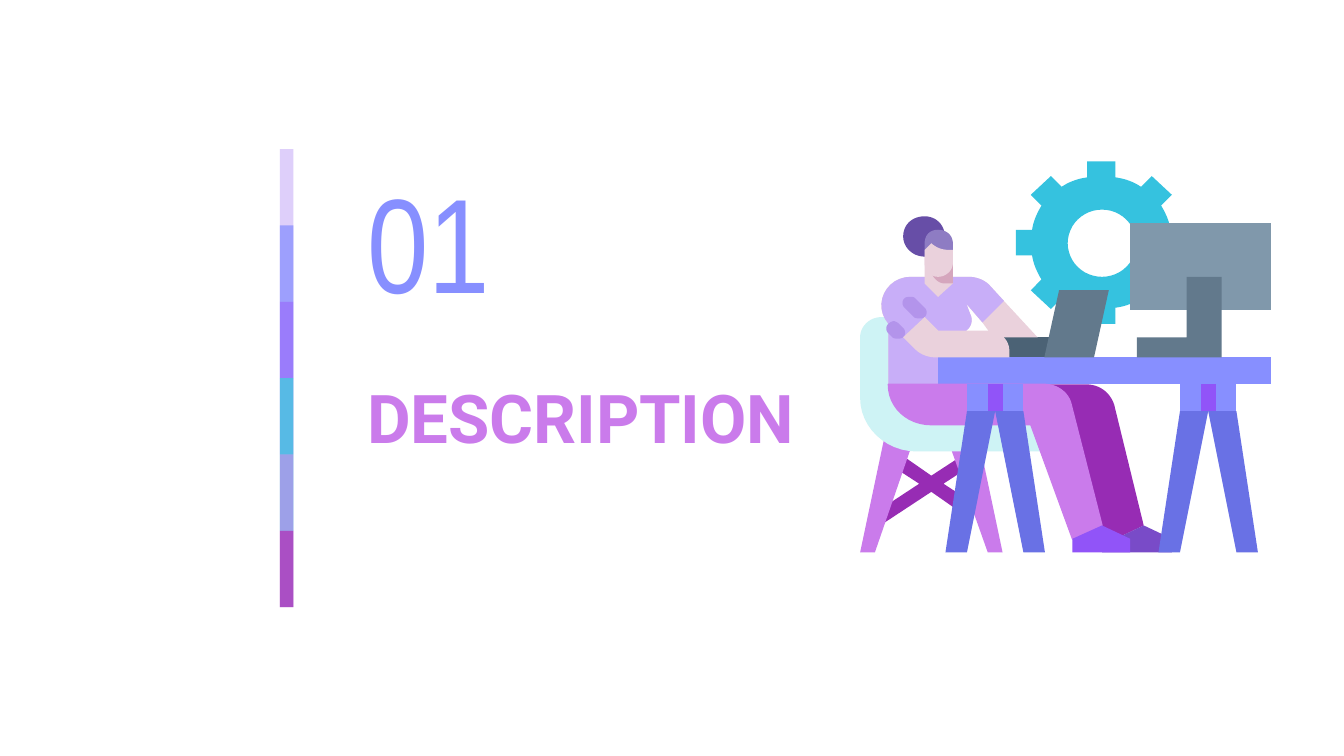
from math import cos, pi, sin

from lxml.etree import SubElement
from pptx import Presentation
from pptx.dml.color import RGBColor
from pptx.enum.shapes import MSO_SHAPE
from pptx.enum.text import MSO_ANCHOR, MSO_AUTO_SIZE, PP_ALIGN
from pptx.oxml.ns import qn
from pptx.util import Pt

LILAC = RGBColor(0xC8, 0xAE, 0xF8)
PERIWINKLE = RGBColor(0x87, 0x8F, 0xFF)
VIOLET = RGBColor(0x91, 0x54, 0xF8)
CYAN = RGBColor(0x35, 0xC2, 0xDF)
ORCHID = RGBColor(0xCA, 0x7B, 0xEB)
PLUM = RGBColor(0x97, 0x2C, 0xB4)
MINT = RGBColor(0xCE, 0xF3, 0xF5)
INDIGO = RGBColor(0x69, 0x71, 0xE5)
SHOE = RGBColor(0x79, 0x4B, 0xC8)
SLEEVE = RGBColor(0xB3, 0x94, 0xEB)
SKIN = RGBColor(0xEA, 0xD1, 0xDC)
SKIN_SHADE = RGBColor(0xD5, 0xA6, 0xBD)
HAIR = RGBColor(0x67, 0x4E, 0xA7)
FRINGE = RGBColor(0x8E, 0x7C, 0xC3)
DARK_SLATE = RGBColor(0x4B, 0x62, 0x75)
SLATE = RGBColor(0x62, 0x79, 0x8C)
LIGHT_SLATE = RGBColor(0x80, 0x98, 0xAB)

GRID = 0.72  # points per unit of the illustration
CURVE_STEPS = 12

deck = Presentation()
deck.slide_width, deck.slide_height = Pt(720), Pt(405)
page = deck.slides.add_slide(deck.slide_layouts[0])


def flatten(outline):
    """Turn (x, y) corners and six-number cubic curves into plain points."""
    points = []
    for step in outline:
        if len(step) == 2:
            points.append(step)
            continue
        x0, y0 = points[-1]
        x1, y1, x2, y2, x3, y3 = step
        for i in range(1, CURVE_STEPS + 1):
            t = i / CURVE_STEPS
            a, b, c, d = (1 - t) ** 3, 3 * t * (1 - t) ** 2, 3 * t * t * (1 - t), t ** 3
            points.append((a * x0 + b * x1 + c * x2 + d * x3,
                           a * y0 + b * y1 + c * y2 + d * y3))
    return points


def draw(color, *outlines):
    """Draw closed outlines as one filled freeform."""
    builder = None
    for outline in outlines:
        points = [(Pt(x * GRID), Pt(y * GRID)) for x, y in flatten(outline)]
        if builder is None:
            builder = page.shapes.build_freeform(*points[0])
        else:
            builder.move_to(*points[0])
        builder.add_line_segments(points[1:], close=True)
    shape = builder.convert_to_shape()
    shape.shadow.inherit = False
    shape.fill.solid()
    shape.fill.fore_color.rgb = color
    shape.line.fill.background()
    return shape


# Section number and title
number, title = page.placeholders[1], page.shapes.title
for box, text, place, anchor, font, size, bold, color in (
    (number, "01", (189.4, 79.9, 89.3, 97.2), MSO_ANCHOR.MIDDLE, "Arial Narrow", 72, False, PERIWINKLE),
    (title, "DESCRIPTION", (189.4, 194.4, 310.3, 72.7), MSO_ANCHOR.TOP, "Roboto", 36, True, ORCHID),
):
    box.left, box.top, box.width, box.height = [Pt(length) for length in place]
    frame = box.text_frame
    frame.text = text
    frame.word_wrap = True
    frame.auto_size = MSO_AUTO_SIZE.NONE
    frame.vertical_anchor = anchor
    frame.margin_left = frame.margin_right = Pt(7.2)
    frame.margin_top = frame.margin_bottom = Pt(7.2)
    para = frame.paragraphs[0]
    para.alignment = PP_ALIGN.LEFT
    para.space_before = Pt(0)
    span = para.runs[0]
    span.font.name, span.font.size, span.font.bold = font, Pt(size), bold
    span.font.color.rgb = color

# Gear: one quarter of the rim, mirrored down and across, with a round hole
quarter = flatten([(830, 120), (830, 132), (837, 133, 843, 135, 849, 139), (857, 131), (872, 145),
                   (864, 153), (867, 158, 870, 164, 871, 171), (883, 171)])
half = quarter + [(x, 361 - y) for x, y in reversed(quarter)]
rim = half + [(1639 - x, y) for x, y in reversed(half)]
hole = [(820 + 25.5 * cos(pi * i / 24), 181 - 25 * sin(pi * i / 24)) for i in range(48)]
draw(CYAN, rim, hole)

# Laptop base
draw(DARK_SLATE, [(746, 251), (746, 266), (783, 266), (783, 251)])

# Chair
draw(PLUM, [(670, 338), (664, 347), (684, 360), (649, 383), (655, 391), (693, 366), (713, 380),
            (719, 371), (702, 360), (722, 347), (716, 339), (693, 354)])
draw(ORCHID, [(703, 321), (735, 411), (746, 411), (727, 321)])
draw(ORCHID, [(659, 321), (640, 411), (651, 411), (682, 321)])
draw(MINT, [(656, 236), (647, 236, 640, 243, 640, 251), (640, 296), (640, 318, 659, 336, 682, 336),
            (783, 336), (783, 311), (693, 311), (678, 311, 667, 300, 667, 286), (667, 236)])

# Far leg and shoe
draw(PLUM, [(693, 286), (693, 303, 707, 316, 725, 316), (798, 316), (820, 401), (830, 401),
            (851, 391), (829, 301), (826, 292, 818, 286, 808, 286)])
draw(SHOE, [(851, 391), (830, 401), (820, 401), (820, 411), (872, 411), (872, 401)])

# Far arm under the shirt
torso = [(678, 206), (659, 206, 649, 227, 661, 241), (661, 286), (719, 286), (719, 246),
         (723, 243, 724, 238, 722, 234), (719, 226), (731, 240)]
shoulder = [(747, 224), (736, 212), (732, 208, 726, 206, 720, 206)]
draw(SKIN, torso + [(739, 251), (772, 251)] + shoulder)
draw(LILAC, torso + shoulder)

# Table top
draw(PERIWINKLE, [(698, 266), (698, 286), (946, 286), (946, 266)])

# Sleeve folds
draw(SLEEVE, [(665, 239), (664, 239, 662, 240, 661, 241), (659, 243, 659, 246, 661, 248), (664, 251),
              (665, 252, 667, 252, 668, 252), (669, 252, 671, 252, 672, 251),
              (674, 249, 674, 246, 672, 244), (669, 241), (668, 240, 666, 239, 665, 239)])
draw(SLEEVE, [(677, 221), (676, 221, 674, 221, 673, 222), (671, 224, 671, 227, 673, 229), (680, 236),
              (681, 237, 683, 237, 684, 237), (685, 237, 687, 237, 688, 236),
              (690, 234, 690, 231, 688, 229), (681, 222), (680, 221, 679, 221, 677, 221)])

# Neck and near arm
draw(SKIN, [(688, 191), (688, 211), (698, 221), (709, 211), (709, 191)])
draw(SKIN, [(688, 236), (672, 251), (681, 260), (685, 264, 691, 266, 696, 266), (751, 266),
            (751, 261), (751, 253, 744, 246, 735, 246), (698, 246)])

# Laptop screen
draw(SLATE, [(788, 216), (777, 266), (814, 266), (825, 216)])

# Near leg and shoe
leg = draw(ORCHID, [(661, 286), (661, 303, 675, 316, 693, 316), (767, 316), (798, 401),
                    (820, 391), (797, 301), (795, 292, 786, 286, 777, 286)])
leg.line.color.rgb = ORCHID
leg.line.width = Pt(0.75)
draw(VIOLET, [(820, 391), (798, 401), (798, 411), (841, 411), (841, 401)])

# Monitor and stand
draw(LIGHT_SLATE, [(841, 166), (841, 231), (946, 231), (946, 166)])
draw(SLATE, [(883, 206), (883, 251), (846, 251), (846, 266), (909, 266), (909, 206)])

# Table trestles
for center in (899, 740.5):
    for color, reach in ((PERIWINKLE, 21), (VIOLET, 5.5)):
        draw(color, [(center - reach, 286), (center - reach, 306),
                     (center + reach, 306), (center + reach, 286)])
    for side in (-1, 1):
        draw(INDIGO, [(center, 306), (center + side * 21, 411),
                      (center + side * 37, 411), (center + side * 21, 306)])

# Head
draw(SKIN_SHADE, [(693, 191), (693, 201), (693, 206, 698, 211, 703, 211), (709, 211), (709, 191)])
draw(HAIR, [(688, 161), (679, 161, 672, 167, 672, 176), (672, 184, 679, 191, 688, 191),
            (696, 191, 703, 184, 703, 176), (703, 167, 696, 161, 688, 161)])
draw(FRINGE, [(698, 171), (692, 171, 688, 175, 688, 181), (688, 191), (709, 191), (709, 181),
              (709, 175, 704, 171, 698, 171)])
draw(SKIN, [(693, 181), (688, 186), (688, 196), (688, 201, 692, 206, 698, 206),
            (704, 206, 709, 201, 709, 196), (709, 186), (706, 186), (701, 186, 696, 184, 693, 181)])

# Colour strip: translucent bars, each reaching under the next
STEP = 40.9
bars = ((LILAC, 59), (PERIWINKLE, 74), (VIOLET, 53), (CYAN, 76), (ORCHID, 56), (PLUM, 74))
for i, (color, opacity) in enumerate(bars):
    height = STEP if i == len(bars) - 1 else 2 * STEP
    bar = page.shapes.add_shape(MSO_SHAPE.RECTANGLE, Pt(150), Pt(79.9 + i * STEP), Pt(7.2), Pt(height))
    bar.shadow.inherit = False
    bar.line.fill.background()
    bar.fill.solid()
    bar.fill.fore_color.rgb = color
    tint = bar.fill._xPr.find(qn("a:solidFill"))[0]
    SubElement(tint, qn("a:alpha"), val=str(opacity * 1000))

deck.save("out.pptx")
